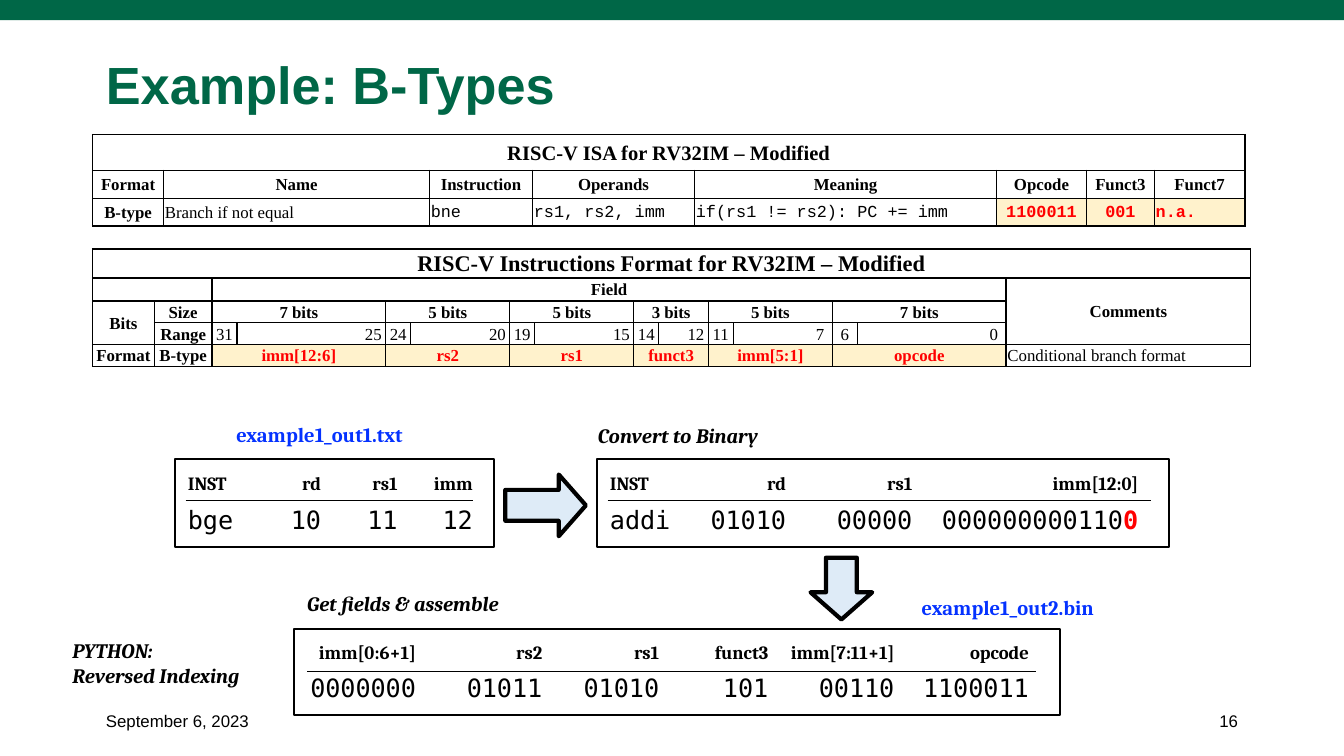
import lxml.etree
import pptx
import pptx.dml.color
import pptx.enum.shapes
import pptx.enum.text
import pptx.oxml.ns
import pptx.util

Pt = pptx.util.Pt
qn = pptx.oxml.ns.qn
SHAPE = pptx.enum.shapes.MSO_SHAPE
ANCHOR = pptx.enum.text.MSO_ANCHOR
ALIGN = pptx.enum.text.PP_ALIGN

GREEN, BLACK, WHITE, RED = "006747", "000000", "FFFFFF", "FF0000"
BLUE, PALE_BLUE, CREAM = "0432FF", "DEEBF7", "FFF2CC"
SERIF, MONO, LABEL, DIGITS = "Times New Roman", "Courier New", "Cambria", "DejaVu Sans Mono"
NO_STYLE = "{2D5ABB26-0587-4C30-8999-92F81FD0307C}"
THIN, THICK = 0.5, 1


def rgb(value):
    return pptx.dml.color.RGBColor.from_string(value)


def format_runs(p, size, font, color=BLACK, bold=False, italic=False):
    for r in p.runs:
        r.font.size, r.font.name = Pt(size), font
        r.font.bold, r.font.italic = bold, italic
        r.font.color.rgb = rgb(color)


def add_text(s, box, text, size, font, anchor=ANCHOR.TOP, align=ALIGN.LEFT, **style):
    tf = s.shapes.add_textbox(*map(Pt, box)).text_frame
    tf.word_wrap, tf.vertical_anchor = True, anchor
    tf.text = text
    for p in tf.paragraphs:
        p.alignment = align
        format_runs(p, size, font, **style)
    return tf


def add_shape(s, kind, box, fill, line=None, width=1):
    sp = s.shapes.add_shape(kind, *map(Pt, box))
    sp.shadow.inherit = False
    sp.fill.solid()
    sp.fill.fore_color.rgb = rgb(fill)
    if line:
        sp.line.color.rgb = rgb(line)
        sp.line.width = Pt(width)
    else:
        sp.line.fill.background()
    return sp


def add_rule(s, x1, x2, y):
    line = s.shapes.add_connector(pptx.enum.shapes.MSO_CONNECTOR.STRAIGHT,
                                  Pt(x1), Pt(y), Pt(x2), Pt(y))
    line.line.color.rgb = rgb(BLACK)
    line.line.width = Pt(THIN)
    lxml.etree.SubElement(line._element.spPr, qn("a:effectLst"))


def add_arrow(s, box, rotation=0):
    sp = add_shape(s, SHAPE.RIGHT_ARROW, box, PALE_BLUE, BLACK, 2.25)
    sp.adjustments[0], sp.adjustments[1] = 0.5, 0.44
    sp.rotation = rotation


def add_grid(s, left, top, widths, heights):
    """Add an unstyled table whose cells have small margins."""
    frame = s.shapes.add_table(len(heights), len(widths), Pt(left), Pt(top),
                               Pt(sum(widths)), Pt(sum(heights)))
    frame._element.find(".//" + qn("a:tableStyleId")).text = NO_STYLE
    table = frame.table
    for column, width in zip(table.columns, widths):
        column.width = Pt(width)
    for row, height in zip(table.rows, heights):
        row.height = Pt(height)
    for cell in table.iter_cells():
        cell.margin_left = cell.margin_right = cell.margin_top = Pt(0.72)
        cell.margin_bottom = 0
        lxml.etree.SubElement(cell.text_frame.paragraphs[0]._p, qn("a:endParaRPr"), sz="800")
    return table


def add_border(cell, side, width):
    ln = lxml.etree.SubElement(cell._tc.get_or_add_tcPr(), qn("a:ln" + side),
                               w=str(Pt(width)))
    fill = lxml.etree.SubElement(ln, qn("a:solidFill"))
    lxml.etree.SubElement(fill, qn("a:srgbClr"), val=BLACK)


def put(table, row, col, text="", rows=1, cols=1, thick="LRTB", bare="", fill=WHITE,
        size=9, font=SERIF, align=ALIGN.CENTER, anchor=ANCHOR.MIDDLE, **style):
    """Fill a cell or merged area; sides in thick get a heavy line, in bare none."""
    origin = table.cell(row, col)
    for i in range(rows):
        for j in range(cols):
            cell = table.cell(row + i, col + j)
            outer = {"L": j == 0, "R": j == cols - 1, "T": i == 0, "B": i == rows - 1}
            for side, on_edge in outer.items():
                if side not in bare and (on_edge or i == j == 0):
                    add_border(cell, side, THICK if side in thick else THIN)
            cell.fill.solid()
            cell.fill.fore_color.rgb = rgb(fill)
    if rows * cols > 1:
        origin.merge(table.cell(row + rows - 1, col + cols - 1))
    origin.vertical_anchor = anchor
    if text:
        p = origin.text_frame.paragraphs[0]
        p.text = text
        p.alignment = align
        format_runs(p, size, font, **style)


def isa_table(s, left, top):
    table = add_grid(s, left, top, [38, 142.5, 55.2, 86.8, 161.8, 48.2, 36.4, 48.5],
                     [19.2, 15, 14.7])
    put(table, 0, 0, "RISC-V ISA for RV32IM – Modified", cols=8, size=11, bold=True)
    heads = ["Format", "Name", "Instruction", "Operands", "Meaning", "Opcode", "Funct3", "Funct7"]
    values = ["B-type", "Branch if not equal", "bne", "rs1, rs2, imm",
              "if(rs1 != rs2): PC += imm", "1100011", "001", "n.a."]
    for col, (head, value) in enumerate(zip(heads, values)):
        thick = "TB" + {0: "L", 7: "R"}.get(col, "")
        put(table, 1, col, head, thick=thick, bold=True)
        code = col >= 5
        put(table, 2, col, value, thick=thick, bold=code or col == 0,
            font=MONO if col >= 2 else SERIF, color=RED if code else BLACK,
            fill=CREAM if code else WHITE,
            align=ALIGN.CENTER if col in (0, 5, 6) else ALIGN.LEFT)


def format_table(s, left, top):
    """One narrow column per bit, from 31 down to 0."""
    table = add_grid(s, left, top, [33, 31] + [13.3] * 32 + [131],
                     [15.7, 12.2, 11.8, 11.5, 11.8])
    put(table, 0, 0, "RISC-V Instructions Format for RV32IM – Modified", cols=35,
        size=12, bold=True)
    put(table, 1, 0, cols=2)
    put(table, 1, 2, "Field", cols=32, bold=True)
    put(table, 1, 34, "Comments", rows=3, bold=True)
    put(table, 2, 0, "Bits", rows=2, thick="LTB", bold=True)
    put(table, 2, 1, "Size", thick="TR", bold=True)
    put(table, 3, 1, "Range", thick="RB", bold=True)
    put(table, 4, 0, "Format", thick="LTB", bold=True)
    put(table, 4, 1, "B-type", thick="TRB", bold=True)
    put(table, 4, 34, "Conditional branch format", align=ALIGN.LEFT)
    col = 2
    for name, bits in [("imm[12:6]", 7), ("rs2", 5), ("rs1", 5), ("funct3", 3),
                       ("imm[5:1]", 5), ("opcode", 7)]:
        last = col + bits - 1
        ends = ("L" if col == 2 else "") + ("R" if last == 33 else "")
        put(table, 2, col, f"{bits} bits", cols=bits, thick="T" + ends, bold=True)
        for c in range(col, last + 1):
            bare = ("" if c == col else "L") + ("" if c == last else "R")
            put(table, 3, c, str(33 - c) if c in (col, last) else "", thick="B" + ends,
                bare=bare, anchor=ANCHOR.BOTTOM)
        put(table, 4, col, name, cols=bits, thick="TB" + ends, fill=CREAM,
            color=RED, bold=True)
        col = last + 1


def record_box(s, box, heads, values, tabs, rule):
    """Box with a heading line over a value line; rule is its x range in the box."""
    left, top = box[:2]
    tf = add_shape(s, SHAPE.RECTANGLE, box, WHITE, BLACK).text_frame
    tf.word_wrap, tf.vertical_anchor = True, ANCHOR.MIDDLE
    tf.text = heads + "\n" + values
    head, value = tf.paragraphs
    value.space_before = Pt(5)
    format_runs(head, 10, LABEL, bold=True)
    format_runs(value, 13.5, DIGITS)
    for p in tf.paragraphs:
        p.alignment = ALIGN.LEFT
        stops = lxml.etree.SubElement(p._p.get_or_add_pPr(), qn("a:tabLst"))
        for tab in tabs:
            lxml.etree.SubElement(stops, qn("a:tab"), pos=str(Pt(tab)), algn="r")
    add_rule(s, left + rule[0], left + rule[1], top + 22.5)
    return value


def add_label(s, box, text, color=BLACK, italic=True):
    add_text(s, box, text, 11, LABEL, color=color, bold=True, italic=italic)


def conversion_flow(s):
    record_box(s, (93.6, 245.8, 171.2, 47.5), "INST\trd\trs1\timm", "bge\t10\t11\t12",
               [71.3, 112.3, 152.6], (5.8, 160))
    value = record_box(s, (319.7, 245.8, 306.5, 47.5), "INST\trd\trs1\timm[12:0]",
                       "addi\t01010\t00000\t000000000110", [94.3, 162, 283], (5.8, 296.7))
    r = value.add_run()
    r.text = "0"
    r.font.size, r.font.name, r.font.bold = Pt(13.5), DIGITS, True
    r.font.color.rgb = rgb(RED)
    record_box(s, (157.5, 337, 410.3, 46),
               "\timm[0:6+1]\trs2\trs1\tfunct3\timm[7:11+1]\topcode",
               "\t0000000\t01011\t01010\t101\t00110\t1100011",
               [58.3, 126, 188.6, 247, 314.6, 386.6], (7.2, 397.5))
    add_arrow(s, (270.7, 254.2, 43.2, 33.1))
    add_arrow(s, (434.2, 298.8, 33.1, 33.1), 90)
    add_label(s, (119.5, 222.5, 129.6, 21), "example1_out1.txt", BLUE, False)
    add_label(s, (486.7, 315, 129.6, 21), "example1_out2.bin", BLUE, False)
    add_label(s, (313.2, 223.2, 129.6, 21), "Convert to Binary")
    add_label(s, (157.5, 313, 145.4, 21), "Get fields & assemble")
    add_label(s, (31.7, 338.4, 120.2, 34), "PYTHON:\nReversed Indexing")


def slide_frame(s, width):
    add_shape(s, SHAPE.RECTANGLE, (0, 0, width, 10.8), GREEN)
    title = add_text(s, (49.7, 21.6, 643, 50.4), "Example: B-Types", 28, "Arial",
                     ANCHOR.MIDDLE, color=GREEN, bold=True)
    title.paragraphs[0].line_spacing = 0.9
    add_text(s, (49.7, 375.3, 108, 21.6), "September 6, 2023", 9, "Arial", ANCHOR.MIDDLE)
    add_text(s, (562.3, 375.3, 108, 21.6), "16", 9, "Arial", ANCHOR.MIDDLE, ALIGN.RIGHT)


def main():
    prs = pptx.Presentation()
    prs.slide_width, prs.slide_height = Pt(720), Pt(405)
    s = prs.slides.add_slide(prs.slide_layouts[6])
    slide_frame(s, 720)
    isa_table(s, 49.6, 72.1)
    format_table(s, 49.6, 133.3)
    conversion_flow(s)
    prs.save("out.pptx")


if __name__ == "__main__":
    main()
